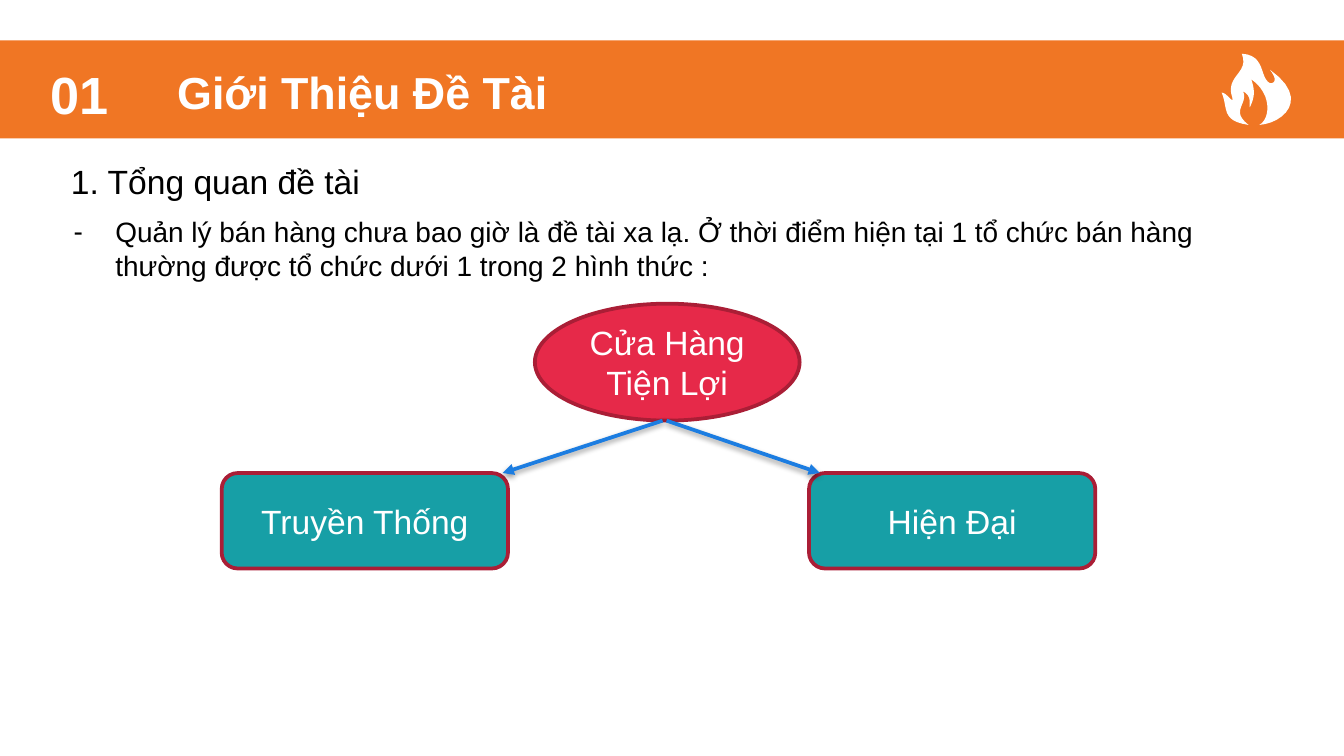
from dataclasses import dataclass

from lxml.etree import SubElement
from pptx import Presentation
from pptx.dml.color import RGBColor
from pptx.enum.shapes import MSO_CONNECTOR as Connector, MSO_SHAPE as Preset
from pptx.enum.text import MSO_ANCHOR as Anchor, PP_ALIGN as Align
from pptx.oxml.ns import qn
from pptx.util import Emu, Inches, Pt

FONT = "Arial"
COLORS = {
    "orange": "F07624",
    "white": "FFFFFF",
    "black": "000000",
    "red": "E62949",
    "dark_red": "AA1E36",
    "teal": "179FA6",
    "blue": "1C7DE1",
}
SLIDE_WIDTH = Inches(10)
SLIDE_HEIGHT = Emu(SLIDE_WIDTH * 9 // 16)
CURVE_STEPS = 12

FLAME_START = (9.29, 0.93)
# Each cubic curve: two control points, then the end point.
FLAME_CURVES = [
    ((9.08, 0.90), (9.14, 0.80), (9.09, 0.69)),
    ((9.13, 0.69), (9.18, 0.78), (9.17, 0.73)),
    ((9.11, 0.56), (9.30, 0.55), (9.24, 0.40)),
    ((9.42, 0.41), (9.37, 0.58), (9.45, 0.62)),
    ((9.48, 0.62), (9.51, 0.60), (9.45, 0.52)),
    ((9.76, 0.74), (9.54, 0.92), (9.37, 0.93)),
    ((9.45, 0.89), (9.47, 0.70), (9.31, 0.59)),
    ((9.35, 0.70), (9.32, 0.75), (9.30, 0.80)),
    ((9.29, 0.77), (9.32, 0.72), (9.25, 0.68)),
    ((9.29, 0.78), (9.15, 0.82), (9.29, 0.93)),
]


@dataclass
class Label:
    text: str
    left: float
    top: float
    width: float
    height: float
    size: int
    color: str = "black"
    bold: bool = False
    bullet: str = ""
    centered_vertically: bool = False


@dataclass
class Node:
    text: str
    preset: Preset
    left: float
    top: float
    width: float
    height: float
    fill: str


@dataclass
class Arrow:
    start: tuple[float, float]
    end: tuple[float, float]


LABELS = [
    Label("01", 0.28, 0.46, 0.66, 0.47, 28, "white", True, centered_vertically=True),
    Label("Giới Thiệu Đề Tài", 1.22, 0.43, 2.99, 0.5, 24, "white", True),
    Label("1. Tổng quan đề tài", 0.43, 1.15, 8.03, 0.4, 18),
    Label("Quản lý bán hàng chưa bao giờ là đề tài xa lạ. Ở thời điểm hiện tại "
          "1 tổ chức bán hàng thường được tổ chức dưới 1 trong 2 hình thức :",
          0.45, 1.55, 9.17, 0.61, 15, bullet="-"),
]
NODES = [
    Node("Cửa Hàng Tiện Lợi", Preset.OVAL, 3.98, 2.26, 1.97, 0.87, "red"),
    Node("Truyền Thống", Preset.ROUNDED_RECTANGLE, 1.65, 3.52, 2.13, 0.71, "teal"),
    Node("Hiện Đại", Preset.ROUNDED_RECTANGLE, 6.02, 3.52, 2.13, 0.71, "teal"),
]
ARROWS = [Arrow((4.93, 3.13), (3.74, 3.52)), Arrow((4.96, 3.13), (6.1, 3.52))]


def rgb(name: str) -> RGBColor:
    return RGBColor.from_string(COLORS[name])


def fill_plain(shape, color: str) -> None:
    """Solid fill without outline or shadow."""
    shape.shadow.inherit = False
    shape.fill.solid()
    shape.fill.fore_color.rgb = rgb(color)
    shape.line.fill.background()


def add_run(paragraph, text: str, size: int, color: str, bold: bool = False) -> None:
    run = paragraph.add_run()
    run.text = text
    run.font.name = FONT
    run.font.size = Pt(size)
    run.font.bold = bold
    run.font.color.rgb = rgb(color)


def add_label(slide, label: Label) -> None:
    box = slide.shapes.add_textbox(Inches(label.left), Inches(label.top),
                                   Inches(label.width), Inches(label.height))
    frame = box.text_frame
    frame.word_wrap = True
    if label.centered_vertically:
        frame.vertical_anchor = Anchor.MIDDLE
        frame.margin_top = frame.margin_bottom = 0
    paragraph = frame.paragraphs[0]
    if label.bullet:
        properties = paragraph._p.get_or_add_pPr()
        properties.set("marL", str(Inches(0.31)))
        properties.set("indent", str(-Inches(0.31)))
        SubElement(properties, qn("a:buFont"), typeface=FONT)
        SubElement(properties, qn("a:buChar"), char=label.bullet)
    add_run(paragraph, label.text, label.size, label.color, label.bold)


def add_node(slide, node: Node) -> None:
    shape = slide.shapes.add_shape(node.preset, Inches(node.left), Inches(node.top),
                                   Inches(node.width), Inches(node.height))
    fill_plain(shape, node.fill)
    shape.line.color.rgb = rgb("dark_red")
    shape.line.width = Pt(2)
    frame = shape.text_frame
    frame.word_wrap = True
    frame.vertical_anchor = Anchor.MIDDLE
    paragraph = frame.paragraphs[0]
    paragraph.alignment = Align.CENTER
    add_run(paragraph, node.text, 18, "white")


def add_arrow(slide, arrow: Arrow) -> None:
    """Straight line with an arrowhead and a soft shadow below it."""
    points = [Inches(value) for value in (*arrow.start, *arrow.end)]
    connector = slide.shapes.add_connector(Connector.STRAIGHT, *points)
    connector.line.color.rgb = rgb("blue")
    connector.line.width = Pt(2)
    SubElement(connector.line._get_or_add_ln(), qn("a:tailEnd"), type="triangle")
    effects = SubElement(connector._element.spPr, qn("a:effectLst"))
    shadow = SubElement(effects, qn("a:outerShdw"), blurRad=str(Pt(3.1)),
                        dist=str(Pt(1.6)), dir="5400000", rotWithShape="0")
    color = SubElement(shadow, qn("a:srgbClr"), val=COLORS["black"])
    SubElement(color, qn("a:alpha"), val="38000")


def curve_point(corners, t: float) -> tuple[Emu, Emu]:
    """Point of a cubic Bézier curve at t between 0 and 1."""
    weights = ((1 - t) ** 3, 3 * t * (1 - t) ** 2, 3 * t ** 2 * (1 - t), t ** 3)
    x, y = (sum(w * corner[axis] for w, corner in zip(weights, corners))
            for axis in (0, 1))
    return Inches(x), Inches(y)


def add_flame(slide) -> None:
    points, start = [], FLAME_START
    for curve in FLAME_CURVES:
        points += [curve_point((start, *curve), step / CURVE_STEPS)
                   for step in range(1, CURVE_STEPS + 1)]
        start = curve[-1]
    builder = slide.shapes.build_freeform(*map(Inches, FLAME_START))
    builder.add_line_segments(points, close=True)
    fill_plain(builder.convert_to_shape(), "white")


def main() -> None:
    presentation = Presentation()
    presentation.slide_width = SLIDE_WIDTH
    presentation.slide_height = SLIDE_HEIGHT
    slide = presentation.slides.add_slide(presentation.slide_layouts[6])

    banner = slide.shapes.add_shape(Preset.RECTANGLE, 0, Inches(0.3),
                                    SLIDE_WIDTH, Inches(0.73))
    fill_plain(banner, "orange")
    add_flame(slide)
    for label in LABELS:
        add_label(slide, label)
    for node in NODES:
        add_node(slide, node)
    for arrow in ARROWS:
        add_arrow(slide, arrow)
    presentation.save("out.pptx")


if __name__ == "__main__":
    main()
